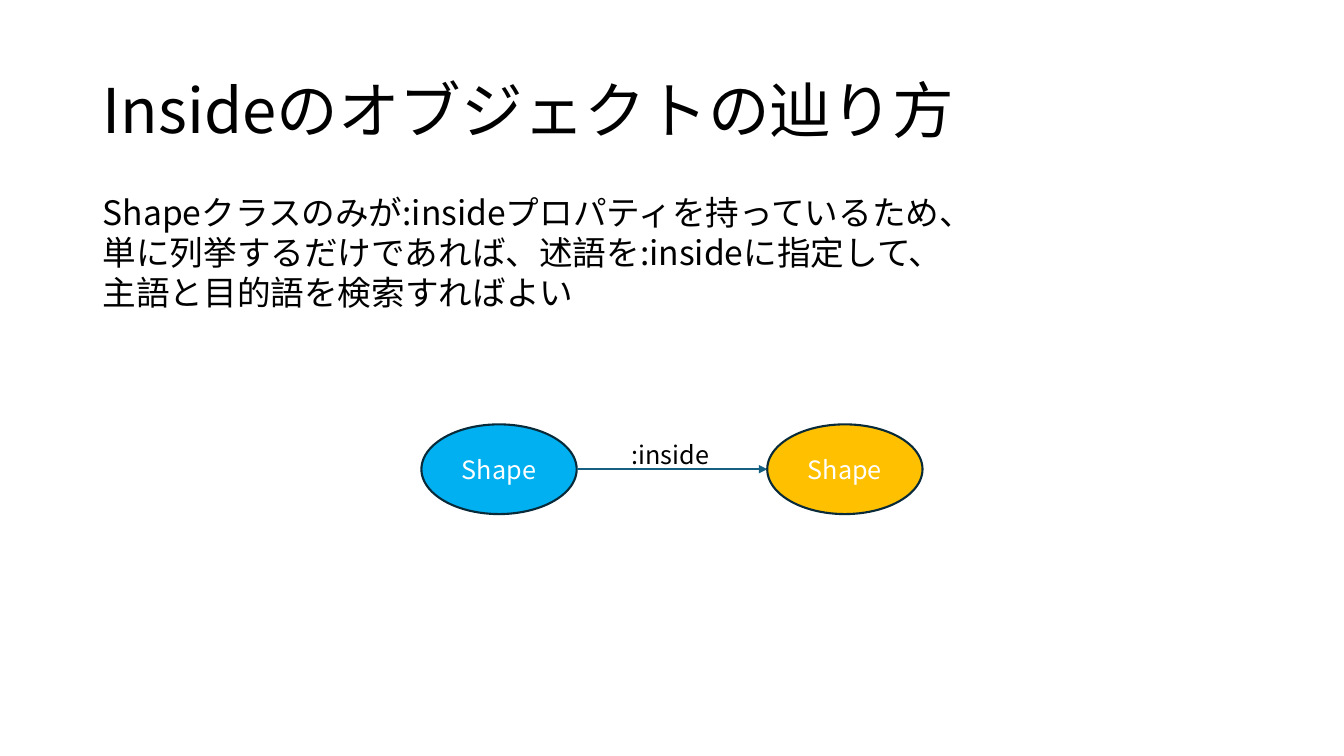
from lxml import etree
from pptx import Presentation
from pptx.dml.color import RGBColor
from pptx.enum.shapes import MSO_CONNECTOR, MSO_SHAPE
from pptx.enum.text import MSO_ANCHOR, MSO_AUTO_SIZE, PP_ALIGN
from pptx.oxml.ns import qn
from pptx.util import Inches, Pt

STRAIGHT, OVAL = MSO_CONNECTOR.STRAIGHT, MSO_SHAPE.OVAL
LEFT, CENTER = PP_ALIGN.LEFT, PP_ALIGN.CENTER
TOP, MIDDLE = MSO_ANCHOR.TOP, MSO_ANCHOR.MIDDLE
NO_FIT, GROW = MSO_AUTO_SIZE.NONE, MSO_AUTO_SIZE.SHAPE_TO_FIT_TEXT

TITLE = "Insideのオブジェクトの辿り方"
BODY = [
    "Shapeクラスのみが:insideプロパティを持っているため、",
    "単に列挙するだけであれば、述語を:insideに指定して、",
    "主語と目的語を検索すればよい",
]
NODES = [("Shape", "subject"), ("Shape", "object")]
PREDICATE = ":inside"

THEME = {
    "font": "Noto Sans CJK JP",
    "text": "000000", "node_text": "FFFFFF",
    "subject": "00B0F0", "object": "FFC000",
    "outline": "092A39", "arrow": "156082",
    "title_size": 44, "body_size": 24, "node_size": 18, "line": 1.5,
}

WIDTH, HEIGHT = 13.33, 7.5
MARGIN, TITLE_TOP, TITLE_H, BODY_H = 0.92, 0.4, 1.45, 1.31
CONTENT_W = WIDTH - 2 * MARGIN
NODE_W, NODE_H, NODE_GAP, NODE_TOP = 1.54, 0.89, 1.89, 4.21
NODE_LEFT = (WIDTH - 2 * NODE_W - NODE_GAP) / 2
LABEL_W, LABEL_H, LABEL_TOP = 1, 0.4, 4.31


def color(name):
    return RGBColor.from_string(THEME[name])


def box(left, top, width, height):
    return [Inches(v) for v in (left, top, width, height)]


def write(s, lines, size, ink="text", align=LEFT, spacing=1.0, **frame):
    tf = s.text_frame
    tf.text = "\v".join(lines)
    for name, value in {"word_wrap": True, "auto_size": NO_FIT, **frame}.items():
        setattr(tf, name, value)
    p = tf.paragraphs[0]
    p.alignment, p.line_spacing = align, spacing
    for r in p.runs:
        for name, value in {"name": THEME["font"], "size": Pt(THEME[size])}.items():
            setattr(r.font, name, value)
        r.font.color.rgb = color(ink)
        ea = etree.SubElement(r.font._element, qn("a:ea"))
        ea.set("typeface", THEME["font"])


def stroke(line, name):
    line.color.rgb = color(name)
    line.width = Pt(THEME["line"])


def add_node(shapes, left, text, fill):
    s = shapes.add_shape(OVAL, *box(left, NODE_TOP, NODE_W, NODE_H))
    s.shadow.inherit = False
    s.fill.solid()
    s.fill.fore_color.rgb = color(fill)
    stroke(s.line, "outline")
    write(s, [text], "node_size", "node_text", CENTER, vertical_anchor=MIDDLE)


def add_arrow(shapes, start, end, y):
    s = shapes.add_connector(STRAIGHT, *box(start, y, end, y))
    stroke(s.line, "arrow")
    tail = etree.SubElement(s.line._get_or_add_ln(), qn("a:tailEnd"))
    tail.set("type", "triangle")
    etree.SubElement(s._element.spPr, qn("a:effectLst"))


def main():
    prs = Presentation()
    prs.slide_width, prs.slide_height = Inches(WIDTH), Inches(HEIGHT)
    slide = prs.slides.add_slide(prs.slide_layouts[5])

    title = slide.shapes.title
    places = box(MARGIN, TITLE_TOP, CONTENT_W, TITLE_H)
    for name, value in zip(("left", "top", "width", "height"), places):
        setattr(title, name, value)
    write(title, [TITLE], "title_size", spacing=0.9, vertical_anchor=MIDDLE)

    body = slide.shapes.add_textbox(*box(MARGIN, TITLE_TOP + TITLE_H, CONTENT_W, BODY_H))
    write(body, BODY, "body_size", vertical_anchor=TOP, auto_size=GROW)

    diagram = slide.shapes.add_group_shape().shapes
    for i, (text, fill) in enumerate(NODES):
        add_node(diagram, NODE_LEFT + i * (NODE_W + NODE_GAP), text, fill)
    start = NODE_LEFT + NODE_W
    add_arrow(diagram, start, start + NODE_GAP, NODE_TOP + NODE_H / 2)
    label = diagram.add_textbox(*box((WIDTH - LABEL_W) / 2, LABEL_TOP, LABEL_W, LABEL_H))
    write(label, [PREDICATE], "node_size", word_wrap=False, auto_size=GROW)

    prs.save("out.pptx")


if __name__ == "__main__":
    main()
